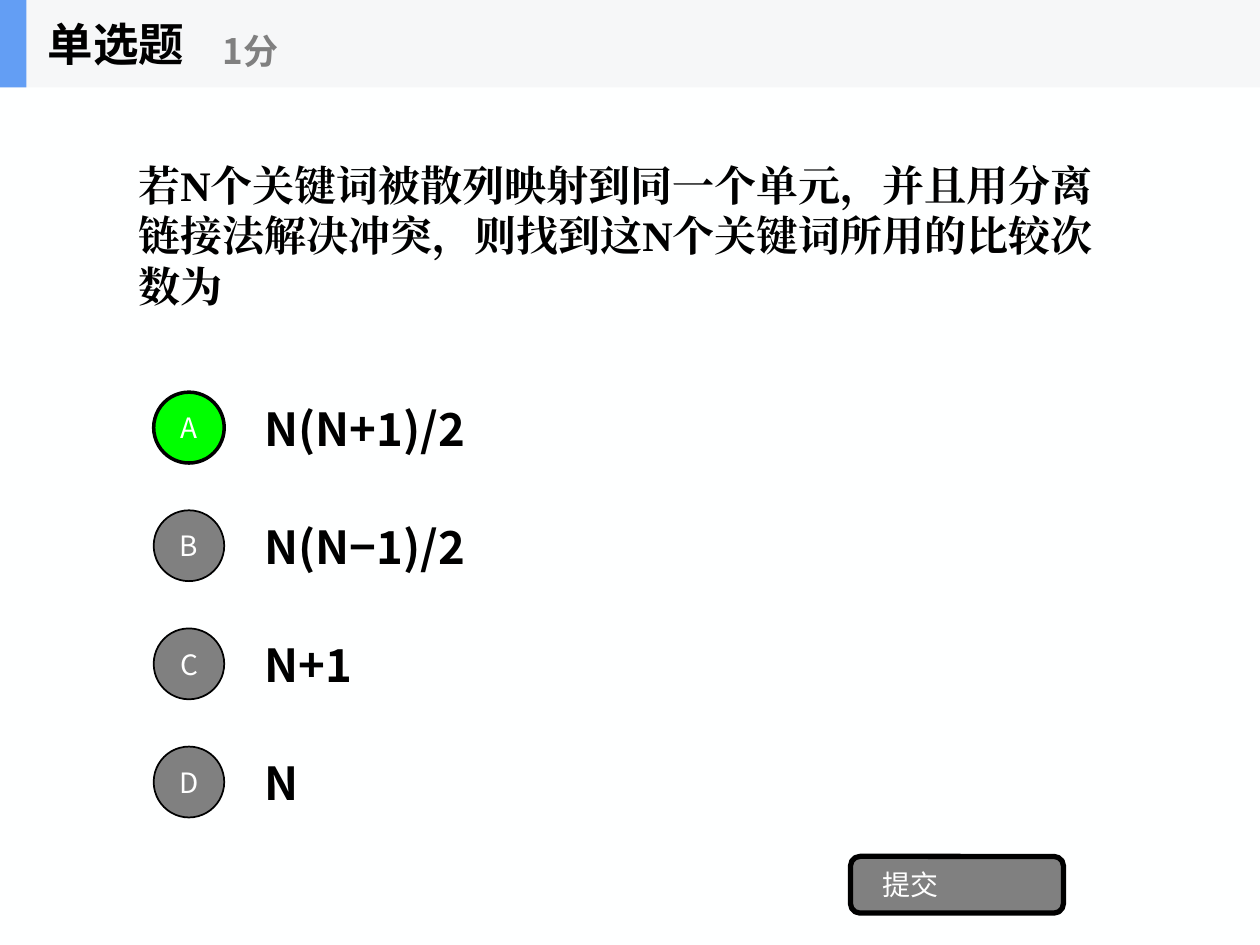
from dataclasses import dataclass

from lxml.etree import SubElement
from pptx import Presentation
from pptx.dml.color import RGBColor
from pptx.enum.shapes import MSO_SHAPE
from pptx.enum.text import MSO_ANCHOR, PP_ALIGN
from pptx.oxml.ns import qn
from pptx.util import Inches, Pt


@dataclass(frozen=True)
class Theme:
    background: str = "FEFFFF"
    ink: str = "000000"
    muted: str = "808080"
    light: str = "FFFFFF"
    correct: str = "00FF00"
    band: str = "F6F7F8"
    accent: str = "639EF4"
    sans: str = "Noto Sans CJK SC"
    serif: str = "Times New Roman"
    heading_size: int = 26
    question_size: int = 24
    score_size: int = 20
    label_size: int = 16


THEME = Theme()


def write_text(shape, text, size, color=THEME.ink, font=THEME.sans, bold=False,
               align=PP_ALIGN.LEFT, margin=0.1):
    frame = shape.text_frame
    frame.word_wrap = True
    frame.vertical_anchor = MSO_ANCHOR.MIDDLE
    frame.margin_left = frame.margin_right = Inches(margin)
    paragraph = frame.paragraphs[0]
    paragraph.alignment = align
    run = paragraph.add_run()
    run.text = text
    run.font.size = Pt(size)
    run.font.bold = bold
    run.font.color.rgb = RGBColor.from_string(color)
    run.font.name = font
    # East Asian characters follow the same typeface
    SubElement(run.font._element, qn("a:ea"), typeface=font)


class QuizSlide:
    """Places elements on a grid of 10 columns and 8 rows."""

    def __init__(self, presentation, theme):
        self.theme = theme
        self.column = presentation.slide_width / 10
        self.row = presentation.slide_height / 8
        self.slide = presentation.slides.add_slide(presentation.slide_layouts[6])
        fill = self.slide.background.fill
        fill.solid()
        fill.fore_color.rgb = RGBColor.from_string(theme.background)

    def place(self, column, row, columns, rows):
        return (round(column * self.column), round(row * self.row),
                round(columns * self.column), round(rows * self.row))

    def text(self, area, text, size, **style):
        box = self.slide.shapes.add_textbox(*self.place(*area))
        write_text(box, text, size, bold=True, **style)

    def shape(self, kind, area, fill, line_width=0):
        shape = self.slide.shapes.add_shape(kind, *self.place(*area))
        shape.shadow.inherit = False
        shape.fill.solid()
        shape.fill.fore_color.rgb = RGBColor.from_string(fill)
        if line_width:
            shape.line.color.rgb = RGBColor.from_string(self.theme.ink)
            shape.line.width = Pt(line_width)
        else:
            shape.line.fill.background()
        return shape

    def option(self, row, letter, answer, correct):
        theme = self.theme
        self.text((2, row, 7, 0.75), answer, theme.heading_size)
        circle = self.shape(MSO_SHAPE.OVAL, (1.22, row + 0.07, 0.56, 0.6),
                            theme.correct if correct else theme.muted,
                            line_width=2 if correct else 1)
        write_text(circle, letter, theme.label_size, color=theme.light,
                   align=PP_ALIGN.CENTER, margin=0)

    def button(self, area, label):
        button = self.shape(MSO_SHAPE.ROUNDED_RECTANGLE, area, self.theme.muted, line_width=3)
        write_text(button, label, self.theme.label_size, color=self.theme.light, margin=0.23)

    def header(self, height, title, score):
        theme = self.theme
        self.shape(MSO_SHAPE.RECTANGLE, (0, 0, 10, height), theme.band)
        self.shape(MSO_SHAPE.RECTANGLE, (0, 0, 0.21, height), theme.accent)
        self.text((0.28, 0, 2.08, height), title, theme.heading_size)
        self.text((1.67, 0.13, 2.5, 0.6), score, theme.score_size, color=theme.muted)


def main():
    presentation = Presentation()
    presentation.slide_width = Inches(10)
    presentation.slide_height = Inches(7.5)
    quiz = QuizSlide(presentation, THEME)
    header_height = 0.74

    # Question
    quiz.text((1, header_height, 8, 2.5),
              "若N个关键词被散列映射到同一个单元，并且用分离链接法解决冲突，则找到这N个关键词所用的比较次数为",
              THEME.question_size, font=THEME.serif)

    # Answer options, one per grid row
    answers = {"A": "N(N+1)/2", "B": "N(N−1)/2", "C": "N+1", "D": "N"}
    for index, (letter, answer) in enumerate(answers.items()):
        quiz.option(3.25 + index, letter, answer, correct=letter == "A")

    # Submit button and header
    quiz.button((6.75, 7.25, 1.69, 0.48), "提交")
    quiz.header(header_height, "单选题", "1分")

    presentation.save("out.pptx")


if __name__ == "__main__":
    main()
